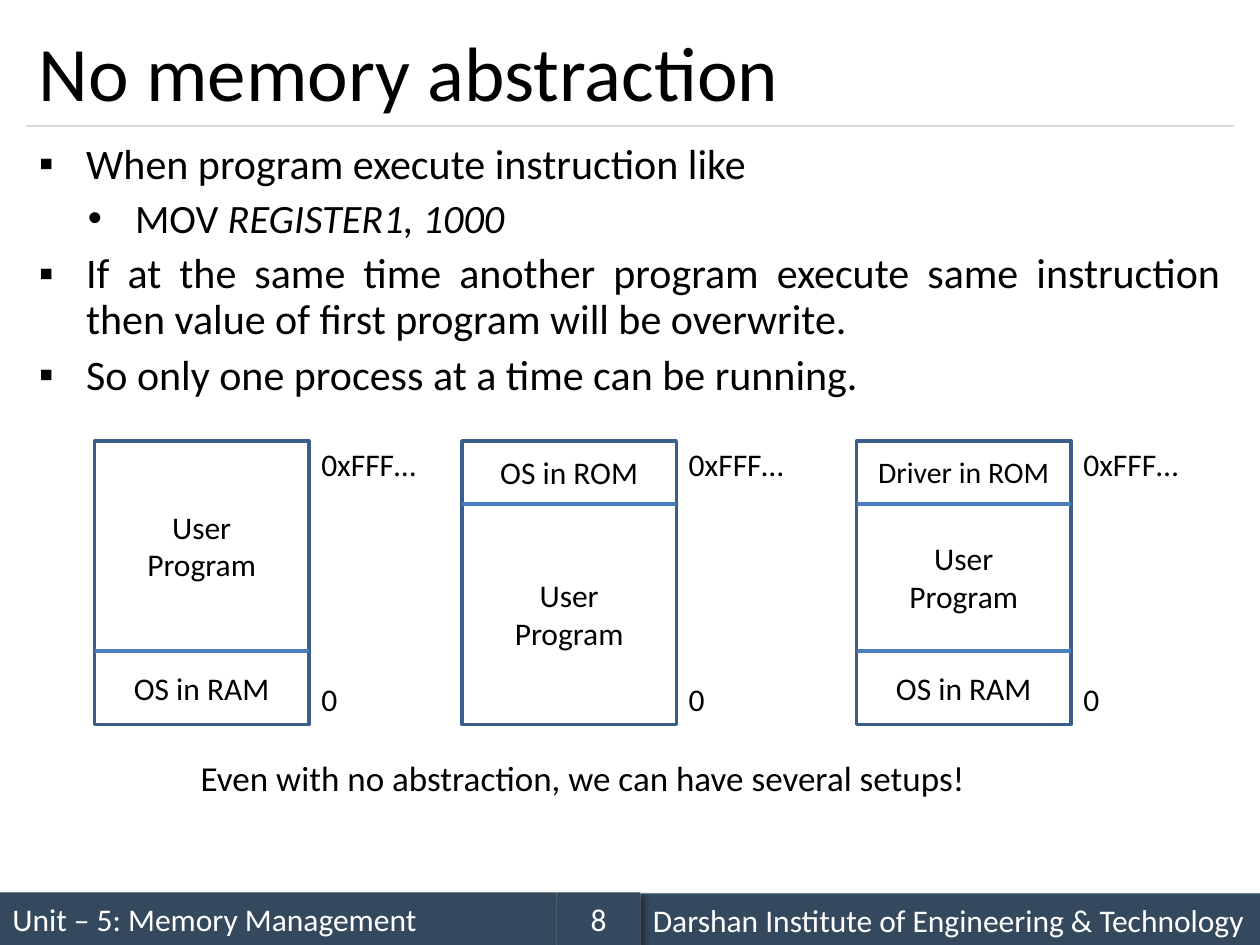
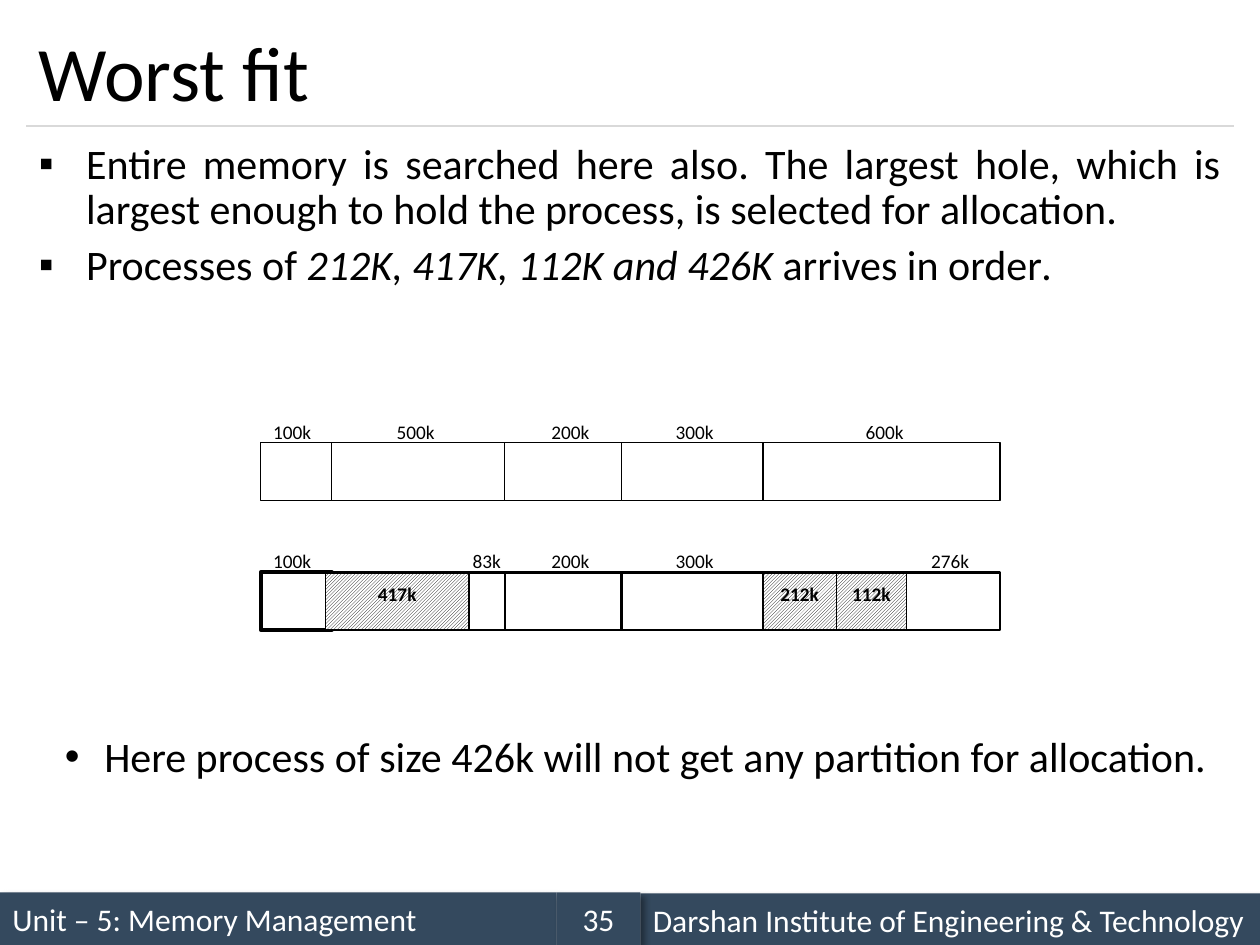
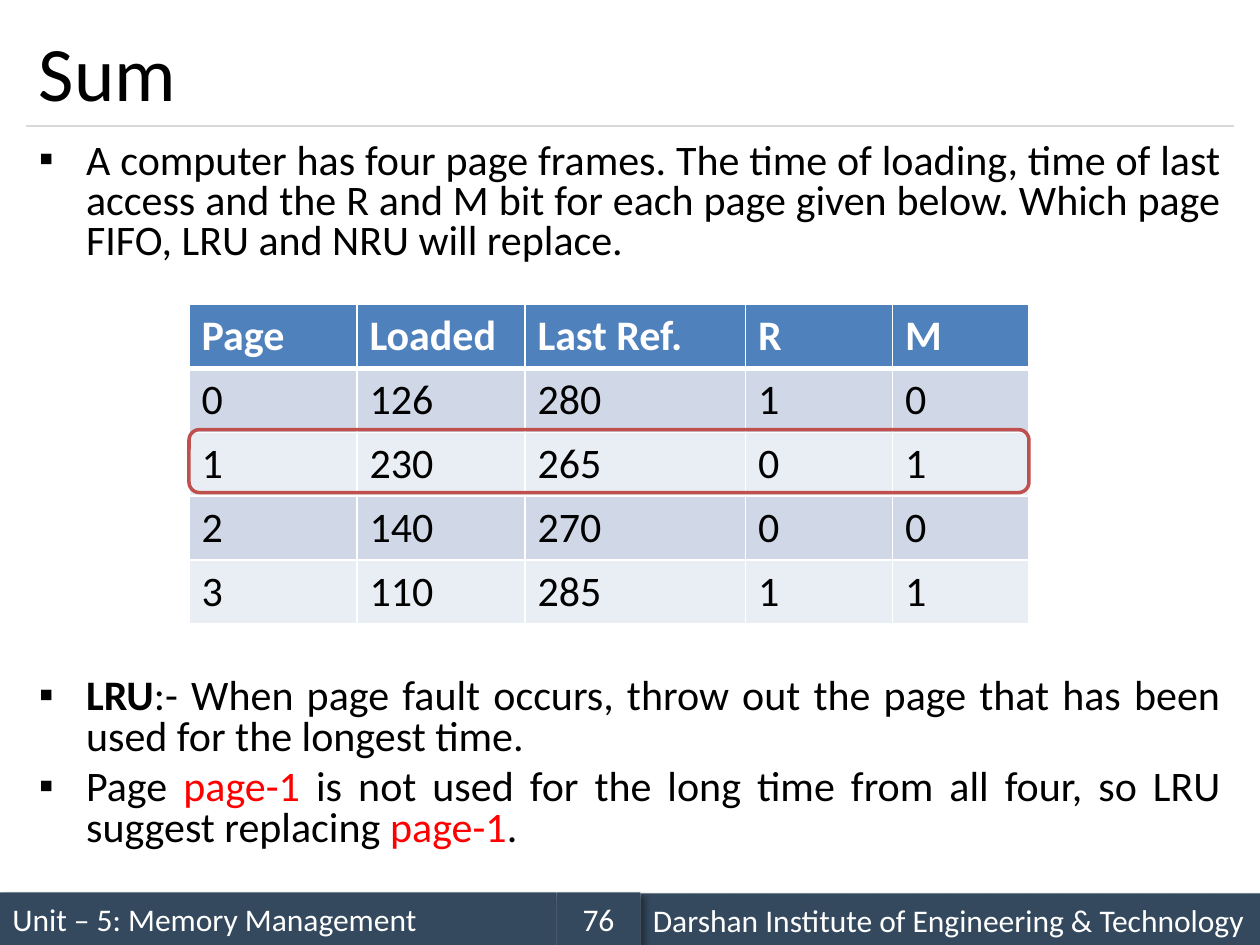
from dataclasses import dataclass
from itertools import pairwise

import pptx
import pptx.util
import pptx.dml.color
import pptx.enum.dml
import pptx.enum.shapes
import pptx.enum.text
import pptx.oxml
import pptx.oxml.ns
from lxml import etree

Pt = pptx.util.Pt
qn = pptx.oxml.ns.qn
ALIGN = pptx.enum.text.PP_ALIGN
ANCHOR = pptx.enum.text.MSO_ANCHOR
SHAPE = pptx.enum.shapes.MSO_SHAPE


@dataclass(frozen=True)
class Theme:
    font: str = "Calibri"
    bullet_font: str = "Arial"
    black: str = "000000"
    white: str = "FFFFFF"
    red: str = "FF0000"
    footer: str = "34495E"
    rule: str = "D9D9D9"
    map_outline: str = "3A5F8C"
    map_divider: str = "4B7EBC"
    header_row: str = "4F81BD"
    odd_row: str = "D0D8E8"
    even_row: str = "E9EDF4"
    highlight: str = "C0504D"
    title_size: int = 44
    body_size: int = 24
    sub_size: int = 23
    note_size: int = 20
    label_size: int = 18
    small_size: int = 11


T = Theme()

# ---- Content: a paragraph is (level, runs); a run is text or (text, style) ----
UNIT = "Unit – 5: Memory Management"
INSTITUTE = "Darshan Institute of Engineering & Technology"

ABSTRACTION = [
    (0, ["When program execute instruction like"]),
    (1, ["MOV ", ("REGISTER1, 1000", "italic")]),
    (0, ["If at the same time another program execute same instruction "
         "then value of first program will be overwrite."]),
    (0, ["So only one process at a time can be running."]),
]
MAP_TOP, ROM_END, RAM_START, MAP_BOTTOM = 252, 288, 372, 414
# left edge, then (label, size, top, bottom) for each segment
MEMORY_MAPS = [
    (54, [("User Program", 18, MAP_TOP, RAM_START),
          ("OS in RAM", 18, RAM_START, MAP_BOTTOM)]),
    (264, [("OS in ROM", 18, MAP_TOP, ROM_END),
           ("User Program", 18, ROM_END, MAP_BOTTOM)]),
    (489.5, [("Driver in ROM", 17, MAP_TOP, ROM_END),
             ("User Program", 18, ROM_END, RAM_START),
             ("OS in RAM", 18, RAM_START, MAP_BOTTOM)]),
]
SETUPS_NOTE = "Even with no abstraction, we can have several setups!"

WORST_FIT = [
    (0, ["Entire memory is searched here also. The largest hole, which is "
         "largest enough to hold the process, is selected for allocation."]),
    (0, ["Processes of ", ("212K, 417K, 112K and 426K ", "italic"),
         "arrives in order", (".", "italic")]),
]
PARTITION_EDGES = [149, 189.5, 288.5, 355, 436, 571.5]
# top, line widths of the partitions, (label, left)
PARTITION_ROWS = [
    (253, [0.75] * 5,
     [("100k", 149), ("500k", 219.5), ("200k", 308), ("300k", 379), ("600k", 487.5)]),
    (327, [2.25] + [1.5] * 4,
     [("100k", 149), ("83k", 263), ("200k", 308), ("300k", 379), ("276k", 525)]),
]
ALLOCATED = [("212k", 436, 42), ("417k", 186, 82), ("112k", 478, 40)]
ALLOCATION_NOTE = "Here process of size 426k will not get any partition for allocation."

PAGE_SUM = [
    (0, ["A computer has four page frames. The time of loading, time of last "
         "access and the R and M bit for each page given below. Which page "
         "FIFO, LRU and NRU will replace."]),
    (0, [("LRU", "bold"), ":- When page fault occurs, throw out the page that "
         "has been used for the longest time."]),
    (0, ["Page ", ("page-1", "red"), " is not used for the long time from all "
         "four, so LRU suggest replacing ", ("page-1", "red"), "."]),
]
PAGE_COLUMNS = [96, 96, 126, 84, 78]
PAGE_TABLE = [
    ("Page", "Loaded", "Last Ref.", "R", "M"),
    ("0", "126", "280", "1", "0"),
    ("1", "230", "265", "0", "1"),
    ("2", "140", "270", "0", "0"),
    ("3", "110", "285", "1", "1"),
]
REPLACED_ROW = 2


# ---- Helpers ----
def rgb(color):
    return pptx.dml.color.RGBColor.from_string(color)


def style(r, size, color=T.black, bold=False, italic=False):
    f = r.font
    f.name, f.size, f.bold, f.italic = T.font, Pt(size), bold, italic
    f.color.rgb = rgb(color)


def write(tf, text, size, color=T.black, align=ALIGN.LEFT, bold=False):
    tf.word_wrap = True
    tf.text = text
    p = tf.paragraphs[0]
    p.alignment = align
    style(p.runs[0], size, color, bold)
    return p


def add_bullet(p, char, left, hanging):
    pPr = p._p.get_or_add_pPr()
    pPr.set("marL", str(Pt(left)))
    pPr.set("indent", str(-Pt(hanging)))
    etree.SubElement(pPr, qn("a:buFont"), typeface=T.bullet_font)
    etree.SubElement(pPr, qn("a:buChar"), char=char)


def place(sp, left, top, width, height):
    sp.left, sp.top, sp.width, sp.height = map(Pt, (left, top, width, height))


def add_box(s, left, top, width, height, fill=None, line=None, line_width=1.0,
            kind=SHAPE.RECTANGLE):
    sp = s.shapes.add_shape(kind, *map(Pt, (left, top, width, height)))
    sp.shadow.inherit = False
    if fill:
        sp.fill.solid()
        sp.fill.fore_color.rgb = rgb(fill)
    else:
        sp.fill.background()
    if line:
        sp.line.color.rgb = rgb(line)
        sp.line.width = Pt(line_width)
    else:
        sp.line.fill.background()
    return sp


def add_rule(s, left, right, y, color, width):
    cxn = s.shapes.add_connector(pptx.enum.shapes.MSO_CONNECTOR.STRAIGHT,
                                 Pt(left), Pt(y), Pt(right), Pt(y))
    cxn.line.color.rgb = rgb(color)
    cxn.line.width = Pt(width)
    etree.SubElement(cxn._element.spPr, qn("a:effectLst"))


def add_text(s, left, top, width, height, text, size, align=ALIGN.LEFT):
    tb = s.shapes.add_textbox(*map(Pt, (left, top, width, height)))
    return write(tb.text_frame, text, size, align=align)


def add_shadow(sp):
    effects = sp._element.spPr.find(qn("a:effectLst"))
    shadow = etree.SubElement(effects, qn("a:outerShdw"), blurRad=str(Pt(4)),
                              dist=str(Pt(3)), dir=str(45 * 60000))
    color = etree.SubElement(shadow, qn("a:srgbClr"), val=T.black)
    etree.SubElement(color, qn("a:alpha"), val="40000")


def add_footer(s, number):
    for text, left, top, width, align in (
            (UNIT, 0, 510, 318, ALIGN.LEFT),
            (INSTITUTE, 366, 510.5, 354, ALIGN.LEFT),
            (str(number), 318, 510, 48, ALIGN.CENTER)):
        sp = add_box(s, left, top, width, 30, fill=T.footer)
        add_shadow(sp)
        write(sp.text_frame, text, T.label_size, T.white, align)


def fill_body(tf, paragraphs, spacing):
    levels = [("▪", 27, T.body_size), ("•", 55, T.sub_size)]
    tf.auto_size = pptx.enum.text.MSO_AUTO_SIZE.NONE
    tf.word_wrap = True
    for i, (level, runs) in enumerate(paragraphs):
        p = tf.add_paragraph() if i else tf.paragraphs[0]
        char, left, size = levels[level]
        add_bullet(p, char, left, 27)
        p.level, p.alignment, p.line_spacing = level, ALIGN.JUSTIFY, spacing
        p.space_before = Pt(6 if i else 0)
        for run in runs:
            text, look = (run, "") if isinstance(run, str) else run
            r = p.add_run()
            r.text = text
            style(r, size, T.red if look == "red" else T.black,
                  look == "bold", look == "italic")


def add_slide(prs, title, number, paragraphs, spacing=0.9):
    s = prs.slides.add_slide(prs.slide_layouts[1])
    heading, body = s.placeholders
    place(heading, 15, 9, 690, 63)
    heading.text_frame.auto_size = pptx.enum.text.MSO_AUTO_SIZE.NONE
    heading.text_frame.vertical_anchor = ANCHOR.MIDDLE
    write(heading.text_frame, title, T.title_size)
    place(body, 15, 78, 690, 420)
    fill_body(body.text_frame, paragraphs, spacing)
    add_rule(s, 15, 705, 72, T.rule, 0.75)
    add_footer(s, number)
    return s


# ---- Slides ----
def add_memory_map(s, left, segments):
    width, label_width = 122.5, 114
    right = left + width
    add_box(s, left, MAP_TOP, width, MAP_BOTTOM - MAP_TOP,
            line=T.map_outline, line_width=2)
    for label, size, top, bottom in segments:
        height = 51 if label == "User Program" else 29
        add_text(s, left + (width - label_width) / 2, (top + bottom - height) / 2,
                 label_width, height, label, size, ALIGN.CENTER)
        if top > MAP_TOP:
            add_rule(s, left, right, top, T.map_divider, 2.25)
    add_text(s, right, MAP_TOP - 1, 81, 29, "0xFFF…", T.label_size)
    add_text(s, right, MAP_BOTTOM - 29, 42, 29, "0", T.label_size)


def space_label(p):
    p.line_spacing = 1.15
    p.space_after = Pt(10)


def add_partitions(s):
    height = 33
    for top, line_widths, labels in PARTITION_ROWS:
        for (left, right), line_width in zip(pairwise(PARTITION_EDGES), line_widths):
            add_box(s, left, top, right - left, height, T.white, T.black, line_width)
        for label, left in labels:
            space_label(add_text(s, left, top - 18.5, 40.5, 18.5, label, T.small_size))
    for label, left, width in ALLOCATED:
        sp = add_box(s, left, top + 0.5, width, height - 0.5,
                     line=T.black, line_width=0.75)
        sp.fill.patterned()
        sp.fill.pattern = pptx.enum.dml.MSO_PATTERN.LIGHT_UPWARD_DIAGONAL
        sp.fill.fore_color.rgb = rgb(T.black)
        sp.fill.back_color.rgb = rgb(T.white)
        sp.text_frame.vertical_anchor = ANCHOR.TOP
        space_label(write(sp.text_frame, label, T.small_size,
                          align=ALIGN.CENTER, bold=True))


def set_borders(cell, top, bottom):
    tcPr = cell._tc.get_or_add_tcPr()
    for tag, width in (("lnL", 1), ("lnR", 1), ("lnT", top), ("lnB", bottom)):
        ln = etree.SubElement(tcPr, qn("a:" + tag), w=str(Pt(width)))
        fill = etree.SubElement(ln, qn("a:solidFill"))
        etree.SubElement(fill, qn("a:srgbClr"), val=T.white)


def add_page_table(s):
    left, top, row_height = 108, 174, 36.5
    width = sum(PAGE_COLUMNS)
    table = s.shapes.add_table(len(PAGE_TABLE), len(PAGE_COLUMNS), Pt(left), Pt(top),
                               Pt(width), Pt(row_height * len(PAGE_TABLE))).table
    for column, column_width in zip(table.columns, PAGE_COLUMNS):
        column.width = Pt(column_width)
    for i, values in enumerate(PAGE_TABLE):
        table.rows[i].height = Pt(row_height)
        fill = (T.odd_row if i % 2 else T.even_row) if i else T.header_row
        for j, value in enumerate(values):
            cell = table.cell(i, j)
            set_borders(cell, 3 if i == 1 else 1, 1 if i else 3)
            cell.fill.solid()
            cell.fill.fore_color.rgb = rgb(fill)
            write(cell.text_frame, value, T.body_size,
                  T.black if i else T.white, bold=i == 0)
    add_box(s, left, top + REPLACED_ROW * row_height - 1.5, width, 36,
            line=T.highlight, line_width=2, kind=SHAPE.ROUNDED_RECTANGLE)


def main():
    prs = pptx.Presentation()
    prs.slide_width, prs.slide_height = Pt(720), Pt(540)

    s = add_slide(prs, "No memory abstraction", 8, ABSTRACTION)
    for left, segments in MEMORY_MAPS:
        add_memory_map(s, left, segments)
    add_text(s, 54, 429, 558, 32, SETUPS_NOTE, T.note_size, ALIGN.CENTER)

    s = add_slide(prs, "Worst fit", 35, WORST_FIT)
    add_partitions(s)
    p = add_text(s, 30, 414, 675, 36, ALLOCATION_NOTE, T.body_size)
    add_bullet(p, "•", 22.5, 22.5)

    s = add_slide(prs, "Sum", 76, PAGE_SUM, spacing=0.8)
    # The second paragraph starts below the table.
    s.placeholders[1].text_frame.paragraphs[1].space_before = Pt(237)
    add_page_table(s)

    prs.save("out.pptx")


if __name__ == "__main__":
    main()
